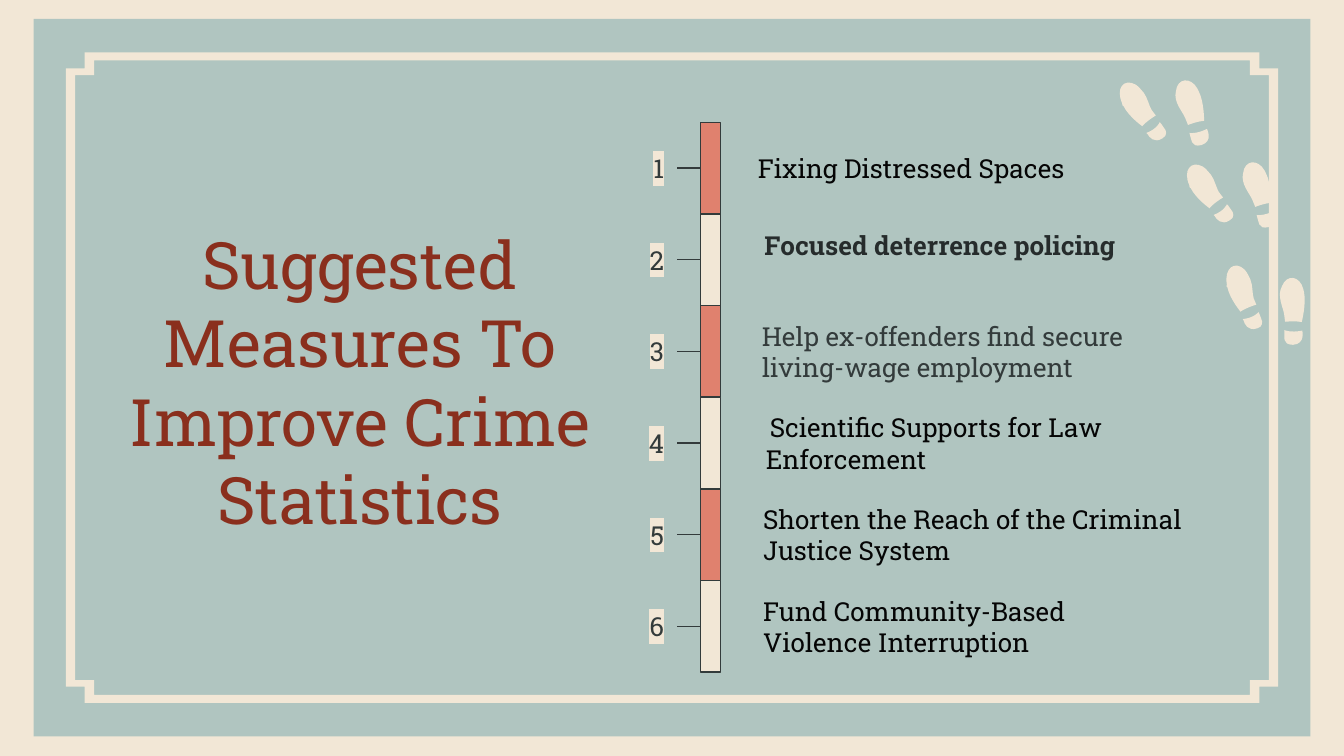
import math

import lxml.etree
import pptx
import pptx.dml.color
import pptx.enum.shapes
import pptx.enum.text
import pptx.oxml.ns
import pptx.util

Inches, Pt, qn = pptx.util.Inches, pptx.util.Pt, pptx.oxml.ns.qn
ALIGN = pptx.enum.text.PP_ALIGN
CREAM, SAGE, CORAL, RUST = "F2E7D6", "B0C5C0", "E0816E", "8A2F1D"
SLATE, BLACK = "333B3B", "050505"
FONT = "Roboto Slab"
ROW_H = 0.682

# Text, left, width, colour, bold, upward shift, first-line indent
MEASURES = [
    ("Fixing Distressed Spaces", 5.54, 3.93, BLACK, False, 0, 0),
    ("Focused deterrence policing", 5.59, 3.86, "262C2C", True, 0.11, 0),
    ("Help ex-offenders find secure living-wage employment", 5.57, 3.55, SLATE, False, 0, 0),
    ("Scientific Supports for Law Enforcement", 5.6, 3.64, BLACK, False, 0, 0.03),
    ("Shorten the Reach of the Criminal Justice System", 5.58, 3.77, BLACK, False, 0, 0),
    ("Fund Community-Based Violence Interruption", 5.58, 2.92, BLACK, False, 0, 0),
]

# Outlines of one pair of footprints: a start point, then lines (2 numbers)
# and curves (6 numbers)
FOOTPRINTS = [
    # right heel and sole
    [(8.98, 0.96), (8.9, 1, 8.85, 0.99, 8.85, 0.99), (8.85, 0.99, 8.86, 1.03, 8.87, 1.06),
     (8.88, 1.08, 8.9, 1.09, 8.94, 1.08), (9.03, 1.05, 8.98, 0.96, 8.98, 0.96)],
    [(8.91, 0.66), (8.86, 0.57, 8.76, 0.58, 8.75, 0.68), (8.73, 0.76, 8.8, 0.83, 8.82, 0.88),
     (8.84, 0.93), (8.92, 0.9, 8.96, 0.9, 8.96, 0.9), (8.96, 0.9, 8.96, 0.76, 8.92, 0.68),
     (8.92, 0.67, 8.91, 0.67, 8.91, 0.66)],
    # left heel and sole
    [(8.66, 0.95), (8.65, 0.93, 8.63, 0.91, 8.63, 0.91), (8.63, 0.91, 8.61, 0.96, 8.53, 0.99),
     (8.53, 0.99, 8.54, 1, 8.54, 1), (8.55, 1.02, 8.59, 1.07, 8.65, 1.03),
     (8.69, 1.01, 8.68, 0.97, 8.66, 0.95)],
    [(8.51, 0.69), (8.49, 0.67, 8.48, 0.65, 8.45, 0.63), (8.36, 0.58, 8.3, 0.66, 8.35, 0.77),
     (8.35, 0.78, 8.35, 0.79, 8.36, 0.79), (8.4, 0.87, 8.5, 0.94, 8.5, 0.94),
     (8.5, 0.94, 8.52, 0.91, 8.6, 0.86), (8.57, 0.82), (8.55, 0.79, 8.54, 0.73, 8.51, 0.69)],
]
PIVOT = (8.98, 0.96)


def rgb(value):
    return pptx.dml.color.RGBColor.from_string(value)


def paint(shape, fill, line=None):
    shape.shadow.inherit = False
    shape.fill.solid()
    shape.fill.fore_color.rgb = rgb(fill)
    if line:
        shape.line.color.rgb = rgb(line)
        shape.line.width = Pt(0.75)
    else:
        shape.line.fill.background()


def add_rect(s, x, y, w, h, fill, line=None):
    kind = pptx.enum.shapes.MSO_SHAPE.RECTANGLE
    paint(s.shapes.add_shape(kind, Inches(x), Inches(y), Inches(w), Inches(h)), fill, line)


def add_outline(s, contours, fill):
    """Draw closed contours, given in inches, as one filled shape."""
    contours = [[(x * 1000, y * 1000) for x, y in points] for points in contours]
    fb = s.shapes.build_freeform(*contours[0][0], scale=Inches(1) / 1000)
    fb.add_line_segments(contours[0][1:], close=True)
    for points in contours[1:]:
        fb.move_to(*points[0])
        fb.add_line_segments(points[1:], close=True)
    sp = fb.convert_to_shape()
    paint(sp, fill)
    return sp


def set_text(sp, text, size, color, align=ALIGN.LEFT, bold=False, spacing=1.0):
    tf = sp.text_frame
    tf.text = text
    tf.word_wrap = True
    tf.auto_size = pptx.enum.text.MSO_AUTO_SIZE.NONE
    tf.vertical_anchor = pptx.enum.text.MSO_ANCHOR.MIDDLE
    tf.margin_left = tf.margin_right = tf.margin_top = tf.margin_bottom = Inches(0.1)
    p = tf.paragraphs[0]
    p.alignment = align
    p.line_spacing = spacing
    p.space_before = Pt(0)
    for r in p.runs:
        r.font.name, r.font.size, r.font.bold = FONT, Pt(size), bold
        r.font.color.rgb = rgb(color)
    return p


def add_text(s, x, y, w, h, *args, **kwargs):
    sp = s.shapes.add_textbox(Inches(x), Inches(y), Inches(w), Inches(h))
    return set_text(sp, *args, **kwargs)


def highlight(r, color):
    mark = lxml.etree.Element(qn("a:highlight"))
    lxml.etree.SubElement(mark, qn("a:srgbClr")).set("val", color)
    r.font._element.find(qn("a:solidFill")).addnext(mark)


def notched(x, y, w, h, dx, dy):
    """Corner points of a rectangle with a step cut from each corner."""
    r, b = x + w, y + h
    return [(x + dx, y), (r - dx, y), (r - dx, y + dy), (r, y + dy),
            (r, b - dy), (r - dx, b - dy), (r - dx, b), (x + dx, b),
            (x + dx, b - dy), (x, b - dy), (x, y + dy), (x + dx, y + dy)]


def add_frame(s, x, y, w, h):
    add_rect(s, x, y, w, h, SAGE)
    x, y, w, h = x + 0.24, y + 0.25, w - 0.48, h - 0.5
    outer = notched(x, y, w, h, 0.14, 0.12)
    inner = notched(x + 0.07, y + 0.06, w - 0.14, h - 0.12, 0.14, 0.11)
    add_outline(s, [outer, inner[::-1]], CREAM)


def add_title(s, x, y, w, h):
    sp = s.shapes.title
    sp.left, sp.top, sp.width, sp.height = Inches(x), Inches(y), Inches(w), Inches(h)
    set_text(sp, "Suggested Measures To Improve Crime\vStatistics", 35, RUST, ALIGN.CENTER)
    # Bring the title in front of the panel
    s.shapes._spTree.append(sp._element)


def curve_segments(sp, outline):
    """Join each three line segments that stand for a curve into one curve."""
    lines = iter(sp._element.findall(".//" + qn("a:lnTo")))
    for seg in outline[1:]:
        parts = [next(lines) for _ in range(len(seg) // 2)]
        if len(parts) == 3:
            curve = lxml.etree.Element(qn("a:cubicBezTo"))
            parts[0].addprevious(curve)
            for part in parts:
                curve.append(part[0])
                part.getparent().remove(part)


def add_footprints(s, x, y, angle=0):
    """Place a pair of footprints with its pivot at x, y, turned by angle."""
    cos, sin = math.cos(math.radians(angle)), math.sin(math.radians(angle))
    for outline in FOOTPRINTS:
        offsets = [(seg[i] - PIVOT[0], seg[i + 1] - PIVOT[1])
                   for seg in outline for i in range(0, len(seg), 2)]
        points = [(x + u * cos - v * sin, y + u * sin + v * cos) for u, v in offsets]
        curve_segments(add_outline(s, [points], CREAM), outline)


def add_scale(s, x, y, w):
    for i, (text, left, width, color, bold, shift, indent) in enumerate(MEASURES):
        top = y + i * ROW_H
        mid = top + ROW_H / 2
        # Segment and tick
        add_rect(s, x, top, w, ROW_H, CREAM if i % 2 else CORAL, SLATE)
        tick = s.shapes.add_connector(pptx.enum.shapes.MSO_CONNECTOR.STRAIGHT,
                                      Inches(x), Inches(mid), Inches(x - 0.17), Inches(mid))
        tick.line.color.rgb = rgb(SLATE)
        tick.line.width = Pt(0.75)
        lxml.etree.SubElement(tick._element.spPr, qn("a:effectLst"))
        # Number and measure
        p = add_text(s, x - 0.5, mid - 0.2, 0.33, 0.4, str(i + 1), 14, SLATE, ALIGN.RIGHT)
        highlight(p.runs[0], CREAM)
        p = add_text(s, left, mid - 0.2 - shift, width, 0.4, text, 14, color, bold=bold)
        if indent:
            p._p.get_or_add_pPr().set("indent", str(Inches(indent)))


def main():
    prs = pptx.Presentation()
    prs.slide_width, prs.slide_height = Inches(10), Inches(5.625)
    s = prs.slides.add_slide(prs.slide_layouts[5])
    s.background.fill.solid()
    s.background.fill.fore_color.rgb = rgb(CREAM)
    add_frame(s, 0.25, 0.14, 9.5, 5.34)
    add_title(s, 0.36, 2.24, 4.64, 1.19)
    add_footprints(s, 8.98, 0.96)
    add_footprints(s, 9.48, 1.57)
    add_footprints(s, 9.69, 2.46, 14.7)
    add_scale(s, 5.21, 0.91, 0.15)
    prs.save("out.pptx")


if __name__ == "__main__":
    main()
